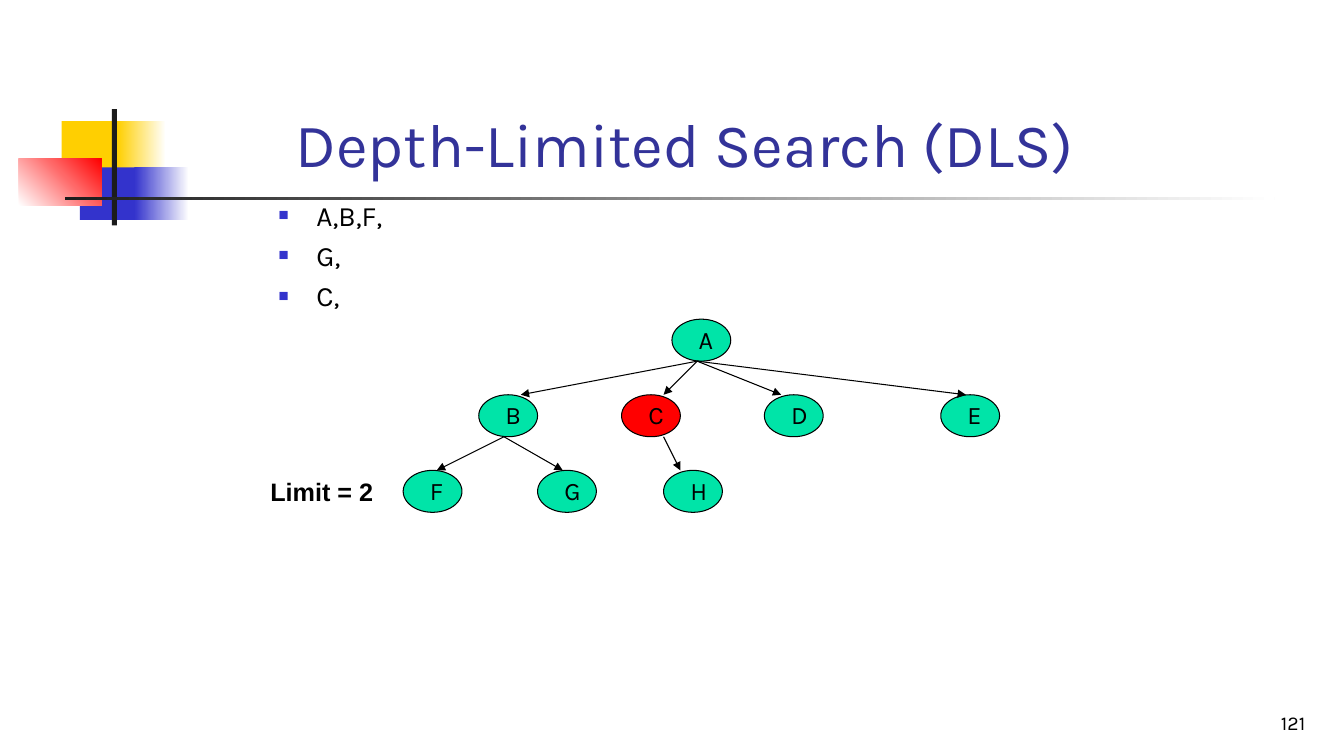
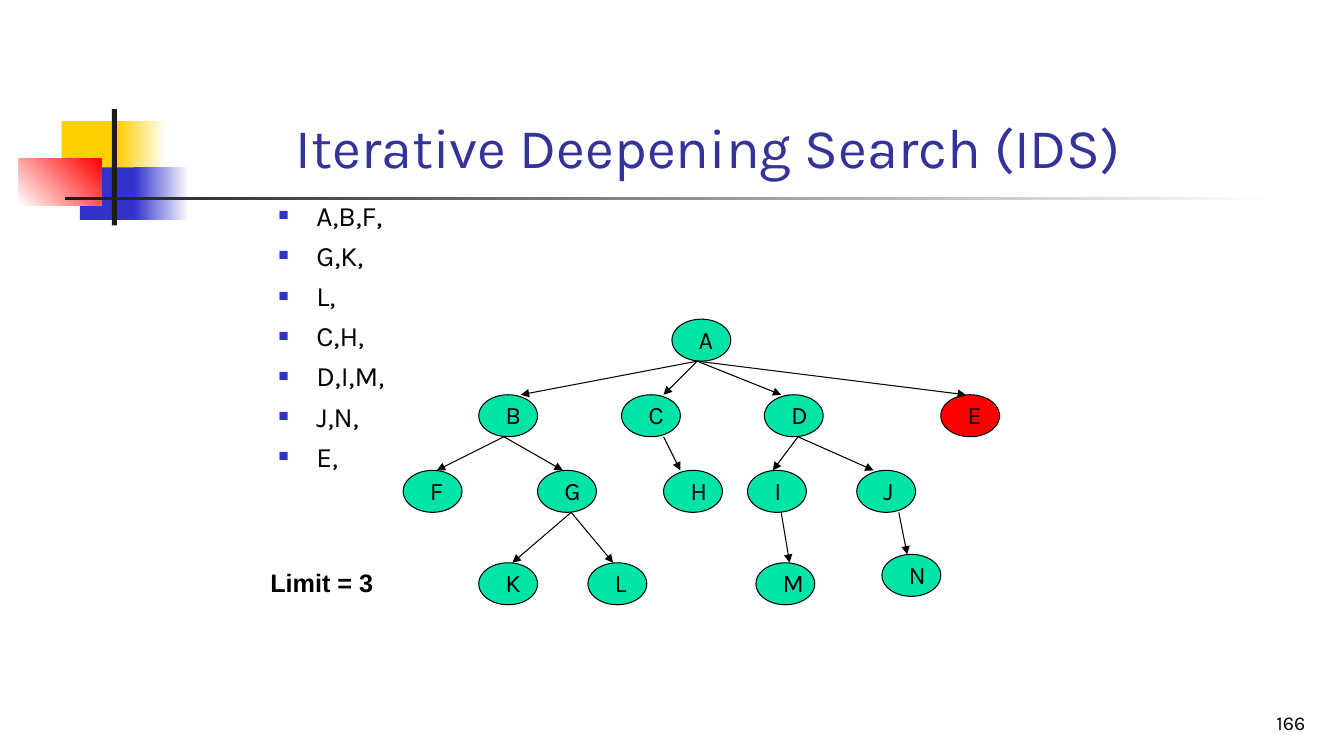
from dataclasses import dataclass
from typing import NamedTuple, Optional

from lxml import etree
from pptx import Presentation
from pptx.dml.color import RGBColor
from pptx.enum.shapes import MSO_CONNECTOR, MSO_SHAPE
from pptx.enum.text import MSO_ANCHOR, MSO_AUTO_SIZE, PP_ALIGN
from pptx.oxml.ns import qn
from pptx.util import Pt

RECTANGLE = MSO_SHAPE.RECTANGLE
ELLIPSE = MSO_SHAPE.OVAL
STRAIGHT = MSO_CONNECTOR.STRAIGHT
TOP, BOTTOM = MSO_ANCHOR.TOP, MSO_ANCHOR.BOTTOM
LEFT, RIGHT = PP_ALIGN.LEFT, PP_ALIGN.RIGHT
NO_AUTOFIT = MSO_AUTO_SIZE.NONE
TITLE_ONLY = 5


@dataclass(frozen=True)
class Theme:
    font: str = "Karla"
    limit_font: str = "Arial"
    title: str = "333399"
    text: str = "000000"
    white: str = "FFFFFF"
    yellow: str = "FFCF01"
    blue: str = "3333CC"
    red: str = "FF0000"
    charcoal: str = "1C1C1C"
    node: str = "00E4A8"
    list_size: float = 20
    label_size: float = 18
    number_size: float = 14
    line_width: float = 0.75


THEME = Theme()


class Box(NamedTuple):
    left: float
    top: float
    width: float
    height: float


class Block(NamedTuple):
    """A rectangle of the corner ornament; fade_to makes it a gradient."""
    box: Box
    color: str
    fade_to: Optional[str] = None
    angle: float = 0


class Node(NamedTuple):
    """A tree node; entry and exit are arrow offsets from its left side."""
    left: float
    top: float
    parent: str
    entry: float
    exit: float


@dataclass(frozen=True)
class SearchSlide:
    title: str
    title_size: float
    visited: tuple[str, ...]
    nodes: str
    current: str
    limit: str
    limit_top: float
    number: str


ORNAMENT = (
    Block(Box(44, 86.5, 46, 37.5), THEME.yellow),
    Block(Box(84, 86.5, 34.5, 37.5), THEME.yellow, THEME.white),
    Block(Box(57, 119.5, 44.5, 37.5), THEME.blue),
    Block(Box(96, 119.5, 39, 37.5), THEME.blue, THEME.white),
    Block(Box(13.5, 113.5, 59, 33.5), THEME.white, THEME.red, 45),
    Block(Box(80, 78, 3.5, 83), THEME.charcoal),
    Block(Box(46.5, 140.5, 864, 2.5), THEME.charcoal, THEME.white),
)

TITLE_BOX = Box(204, 42, 612, 90)
LIST_BOX = Box(192, 138, 612, 66)
NUMBER_BOX = Box(739.5, 492, 200, 36)
LIST_INDENT = 27
LIST_GAP = 4.7
NODE_WIDTH, NODE_HEIGHT = 42, 30
LABEL_OFFSET, LABEL_WIDTH, LABEL_HEIGHT = 12, 30, 28.8
LIMIT_LEFT, LIMIT_WIDTH = 186, 96
ROOT_TOP, LEVEL_1, LEVEL_2, LEVEL_3 = 228, 282, 336, 402

TREE = {
    "A": Node(480, ROOT_TOP, "", 0, 18),
    "B": Node(342, LEVEL_1, "A", 30, 18),
    "C": Node(444, LEVEL_1, "A", 30, 30),
    "D": Node(546, LEVEL_1, "A", 12, 24),
    "E": Node(672, LEVEL_1, "A", 18, 0),
    "F": Node(288, LEVEL_2, "B", 24, 0),
    "G": Node(384, LEVEL_2, "B", 18, 24),
    "H": Node(474, LEVEL_2, "C", 12, 0),
    "I": Node(534, LEVEL_2, "D", 18, 24),
    "J": Node(612, LEVEL_2, "D", 12, 30),
    "K": Node(342, LEVEL_3, "G", 24, 0),
    "L": Node(420, LEVEL_3, "G", 18, 0),
    "M": Node(540, LEVEL_3, "I", 24, 0),
    "N": Node(630, LEVEL_3 - 6, "J", 18, 0),
}

SLIDES = (
    SearchSlide("Depth-Limited Search (DLS)", 44, ("A,B,F,", "G,", "C,"),
                "ABCDEFGH", "C", "Limit = 2", LEVEL_2 + 1, "121"),
    SearchSlide("Iterative Deepening Search (IDS)", 40,
                ("A,B,F,", "G,K,", "L,", "C,H,", "D,I,M,", "J,N,", "E,"),
                "ABCDEFGHIJKLMN", "E", "Limit = 3", LEVEL_3, "166"),
)


def rgb(color: str) -> RGBColor:
    return RGBColor.from_string(color)


def points(box: Box) -> list[Pt]:
    return [Pt(length) for length in box]


def write(frame, text: str, size: float, color: str = THEME.text,
          font: str = THEME.font, bold: bool = False, align=LEFT,
          anchor=TOP) -> None:
    frame.text = text
    frame.word_wrap = True
    frame.auto_size = NO_AUTOFIT
    frame.vertical_anchor = anchor
    for paragraph in frame.paragraphs:
        paragraph.alignment = align
        for run in paragraph.runs:
            run.font.name = font
            run.font.size = Pt(size)
            run.font.bold = bold
            run.font.color.rgb = rgb(color)


def add_text(shapes, box: Box, text: str, size: float, **style):
    frame = shapes.add_textbox(*points(box)).text_frame
    write(frame, text, size, **style)
    return frame


def add_block(shapes, block: Block) -> None:
    shape = shapes.add_shape(RECTANGLE, *points(block.box))
    shape.shadow.inherit = False
    shape.line.fill.background()
    if block.fade_to is None:
        shape.fill.solid()
        shape.fill.fore_color.rgb = rgb(block.color)
        return
    shape.fill.gradient()
    shape.fill.gradient_angle = block.angle
    for stop, color in zip(shape.fill.gradient_stops,
                           (block.color, block.fade_to)):
        stop.color.rgb = rgb(color)


def set_bullet(paragraph) -> None:
    properties = paragraph._p.get_or_add_pPr()
    properties.set("marL", str(Pt(LIST_INDENT)))
    properties.set("indent", str(-Pt(LIST_INDENT)))
    color = etree.SubElement(properties, qn("a:buClr"))
    etree.SubElement(color, qn("a:srgbClr"), val=THEME.blue)
    etree.SubElement(properties, qn("a:buSzPct"), val="60000")
    etree.SubElement(properties, qn("a:buFont"), typeface=THEME.limit_font)
    etree.SubElement(properties, qn("a:buChar"), char="■")


def add_visited(shapes, visited: tuple[str, ...]) -> None:
    frame = add_text(shapes, LIST_BOX, "\n".join(visited), THEME.list_size)
    for paragraph in frame.paragraphs:
        paragraph.space_before = Pt(LIST_GAP)
        set_bullet(paragraph)


def add_node(shapes, name: str, color: str) -> None:
    node = TREE[name]
    group = shapes.add_group_shape().shapes
    disc = group.add_shape(
        ELLIPSE, *points(Box(node.left, node.top, NODE_WIDTH, NODE_HEIGHT)))
    disc.shadow.inherit = False
    disc.fill.solid()
    disc.fill.fore_color.rgb = rgb(color)
    disc.line.color.rgb = rgb(THEME.text)
    disc.line.width = Pt(THEME.line_width)
    label_box = Box(node.left + LABEL_OFFSET, node.top,
                    LABEL_WIDTH, LABEL_HEIGHT)
    add_text(group, label_box, name, THEME.label_size)


def add_arrow(shapes, parent: Node, child: Node) -> None:
    arrow = shapes.add_connector(
        STRAIGHT,
        Pt(parent.left + parent.exit), Pt(parent.top + NODE_HEIGHT),
        Pt(child.left + child.entry), Pt(child.top))
    arrow.line.color.rgb = rgb(THEME.text)
    arrow.line.width = Pt(THEME.line_width)
    etree.SubElement(arrow.line._get_or_add_ln(), qn("a:tailEnd"),
                     type="triangle")
    etree.SubElement(arrow.element.spPr, qn("a:effectLst"))


def add_tree(shapes, names: str, current: str) -> None:
    for name in names:
        add_node(shapes, name, THEME.red if name == current else THEME.node)
    for name in names:
        child = TREE[name]
        if child.parent:
            add_arrow(shapes, TREE[child.parent], child)


def add_title(slide, text: str, size: float) -> None:
    title = slide.shapes.title
    title.left, title.top, title.width, title.height = points(TITLE_BOX)
    write(title.text_frame, text, size, color=THEME.title, anchor=BOTTOM)


def add_search_slide(deck, content: SearchSlide) -> None:
    slide = deck.slides.add_slide(deck.slide_layouts[TITLE_ONLY])
    shapes = slide.shapes
    for block in ORNAMENT:
        add_block(shapes, block)
    add_text(shapes, NUMBER_BOX, content.number, THEME.number_size,
             align=RIGHT, anchor=BOTTOM)
    add_title(slide, content.title, content.title_size)
    add_visited(shapes, content.visited)
    add_tree(shapes, content.nodes, content.current)
    limit_box = Box(LIMIT_LEFT, content.limit_top, LIMIT_WIDTH, LABEL_HEIGHT)
    add_text(shapes, limit_box, content.limit, THEME.label_size,
             font=THEME.limit_font, bold=True)


def main() -> None:
    deck = Presentation()
    deck.slide_width, deck.slide_height = Pt(960), Pt(540)
    for content in SLIDES:
        add_search_slide(deck, content)
    deck.save("out.pptx")


if __name__ == "__main__":
    main()
